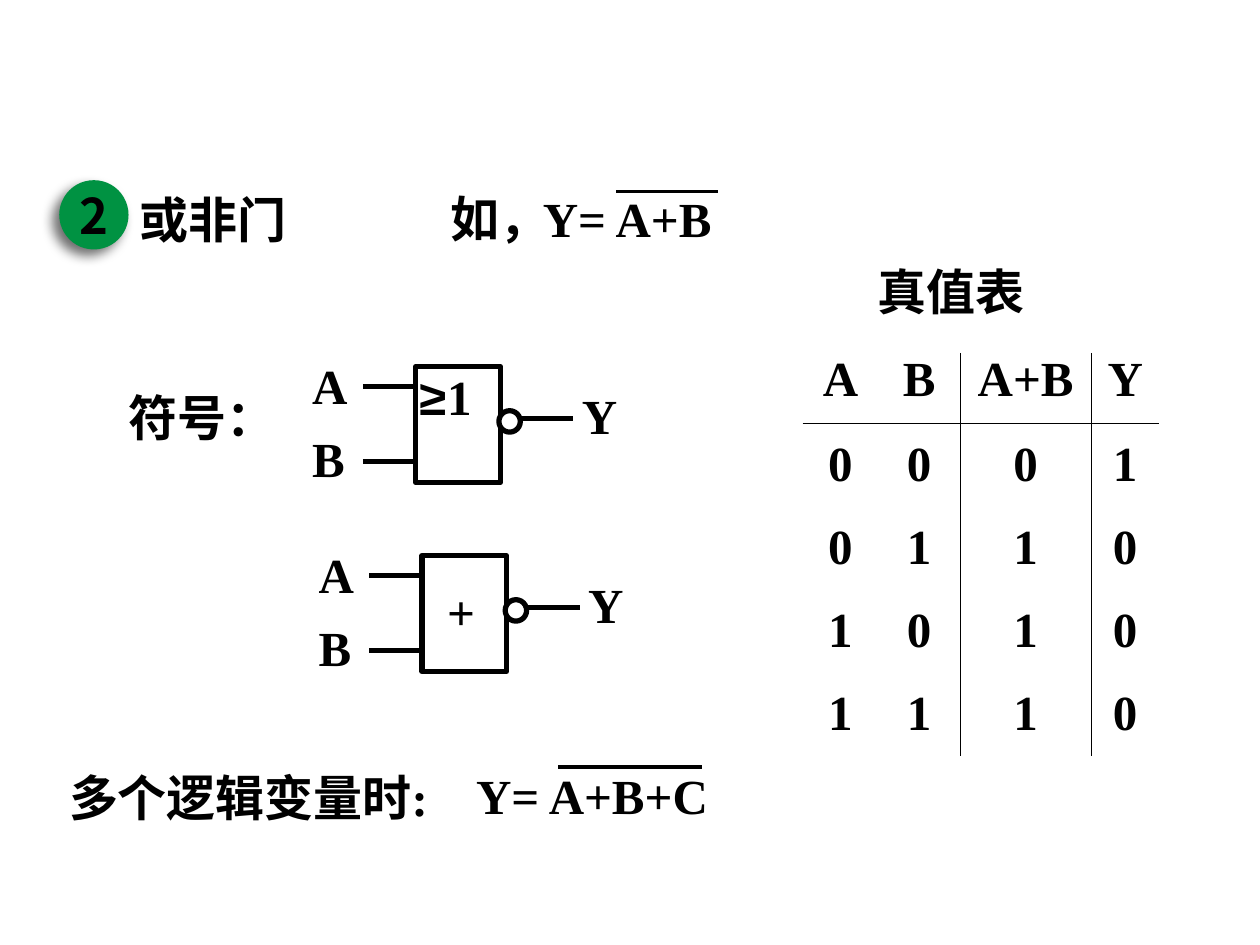
from lxml.etree import SubElement
from pptx import Presentation
from pptx.dml.color import RGBColor
from pptx.enum.shapes import MSO_CONNECTOR, MSO_SHAPE
from pptx.enum.text import MSO_ANCHOR, MSO_AUTO_SIZE, PP_ALIGN
from pptx.oxml.ns import qn
from pptx.util import Inches, Pt

HUES = {"ink": "000000", "paper": "FFFFFF", "green": "009242"}
INK, PAPER, GREEN = (RGBColor.from_string(h) for h in HUES.values())
FONT = {"name": "Times New Roman", "size": Pt(28), "bold": True}

deck = Presentation()
deck.slide_width, deck.slide_height = Inches(10), Inches(7.5)
slide = deck.slides.add_slide(deck.slide_layouts[5])
shapes = slide.shapes


def write(frame, words, align=PP_ALIGN.LEFT, **extra):
    """Fill a text frame or cell frame with one line in the slide's font."""
    para = frame.paragraphs[0]
    para.alignment = align
    run = para.add_run()
    run.text = words
    for key, value in {**FONT, **extra}.items():
        setattr(run.font, key, value)
    run.font.color.rgb = INK


def draw(x1, y1, x2, y2, width):
    """Draw a straight black line without a shadow."""
    line = shapes.add_connector(MSO_CONNECTOR.STRAIGHT, *map(Inches, (x1, y1, x2, y2)))
    line.line.color.rgb = INK
    line.line.width = Pt(width)
    SubElement(line._element.spPr, qn("a:effectLst"))


# Title and numbered badge
title = shapes.title
title.left, title.top, title.width, title.height = map(Inches, (1.01, 1.45, 1.52, 0.57))
title.text_frame.auto_size = MSO_AUTO_SIZE.NONE
title.text_frame.vertical_anchor = MSO_ANCHOR.TOP
write(title.text_frame, "或非门")

badge = shapes.add_shape(MSO_SHAPE.OVAL, *map(Inches, (0.47, 1.43, 0.55, 0.55)))
badge.fill.solid()
badge.fill.fore_color.rgb = GREEN
badge.line.fill.background()
badge.shadow.inherit = False
glow = SubElement(badge._element.spPr.find(qn("a:effectLst")), qn("a:outerShdw"),
                  blurRad=str(Pt(7)), dist=str(Pt(5)), dir=str(135 * 60000),
                  algn="tr", rotWithShape="0")
tint = SubElement(glow, qn("a:srgbClr"), val=HUES["ink"])
SubElement(tint, qn("a:alpha"), val="57000")
frame = badge.text_frame
frame.margin_left = frame.margin_right = frame.margin_top = frame.margin_bottom = 0
frame.word_wrap = False
frame.vertical_anchor = MSO_ANCHOR.MIDDLE
write(frame, "2", PP_ALIGN.CENTER, name="Noto Sans CJK SC")

# Gate symbols: boxes, pins and output bubbles
labels = []
for dx, dy in ((0, 0), (0.05, 1.5)):
    for kind, x, y, w, h in ((MSO_SHAPE.RECTANGLE, 3.3, 2.91, 0.67, 0.92),
                             (MSO_SHAPE.OVAL, 3.96, 3.26, 0.17, 0.17)):
        part = shapes.add_shape(kind, *map(Inches, (x + dx, y + dy, w, h)))
        part.fill.solid()
        part.fill.fore_color.rgb = PAPER
        part.line.color.rgb = INK
        part.line.width = Pt(3)
        part.shadow.inherit = False
    for x, y in ((2.88, 3.07), (2.88, 3.66), (4.13, 3.32)):
        draw(x + dx, y + dy, x + dx + 0.42, y + dy, 3)
    for words, x, y in (("A", 2.38, 2.77), ("B", 2.38, 3.35), ("Y", 4.52, 3.01)):
        labels.append((words, x + dx, y + dy, 0.5))

# Text labels and formulas
labels += [
    ("如，", 3.48, 1.45, 1.0),
    ("Y= A+B", 4.21, 1.45, 1.62),
    ("真值表", 6.87, 2.03, 1.5),
    ("符号：", 0.92, 3.03, 1.38),
    ("≥", 3.23, 2.86, 0.5),
    ("1", 3.45, 2.86, 0.5),
    ("+", 3.45, 4.57, 0.6),
    ("多个逻辑变量时:", 0.45, 6.04, 3.3),
    ("Y= A+B+C", 3.68, 6.03, 2.06),
]
for words, x, y, w in labels:
    box = shapes.add_textbox(*map(Inches, (x, y, w, 0.57)))
    box.text_frame.word_wrap = True
    write(box.text_frame, words, name="Arial" if words == "≥" else FONT["name"])

# Negation bars
draw(4.89, 1.52, 5.7, 1.52, 2)
draw(4.43, 6.09, 5.57, 6.09, 2.25)

# Truth table
rows = [("A", "B", "A+B", "Y")]
for a, b in ((0, 0), (0, 1), (1, 0), (1, 1)):
    rows.append((a, b, a | b, 1 - (a | b)))
grid = shapes.add_table(5, 4, *map(Inches, (6.37, 2.8, 2.83, 3.2))).table
grid.first_row = grid.horz_banding = False
grid._tbl.tblPr[0].text = "{2D5ABB26-0587-4C30-8999-92F81FD0307C}"
for col, width in zip(grid.columns, (0.6, 0.65, 1.04, 0.54)):
    col.width = Inches(width)
for r, row in enumerate(rows):
    grid.rows[r].height = Inches(0.66 if r else 0.56)
    for c, value in enumerate(row):
        cell = grid.cell(r, c)
        cell.margin_left = cell.margin_right = cell.margin_top = cell.margin_bottom = 0
        cell.vertical_anchor = MSO_ANCHOR.MIDDLE if r else MSO_ANCHOR.TOP
        write(cell.text_frame, str(value), PP_ALIGN.CENTER)
        for side, shown in (("a:lnR", c in (1, 2)), ("a:lnB", r == 0)):
            if shown:
                edge = SubElement(cell._tc.get_or_add_tcPr(), qn(side), w=str(Pt(0.75)))
                SubElement(SubElement(edge, qn("a:solidFill")), qn("a:srgbClr"),
                           val=HUES["ink"])
        cell.fill.background()

deck.save("out.pptx")
